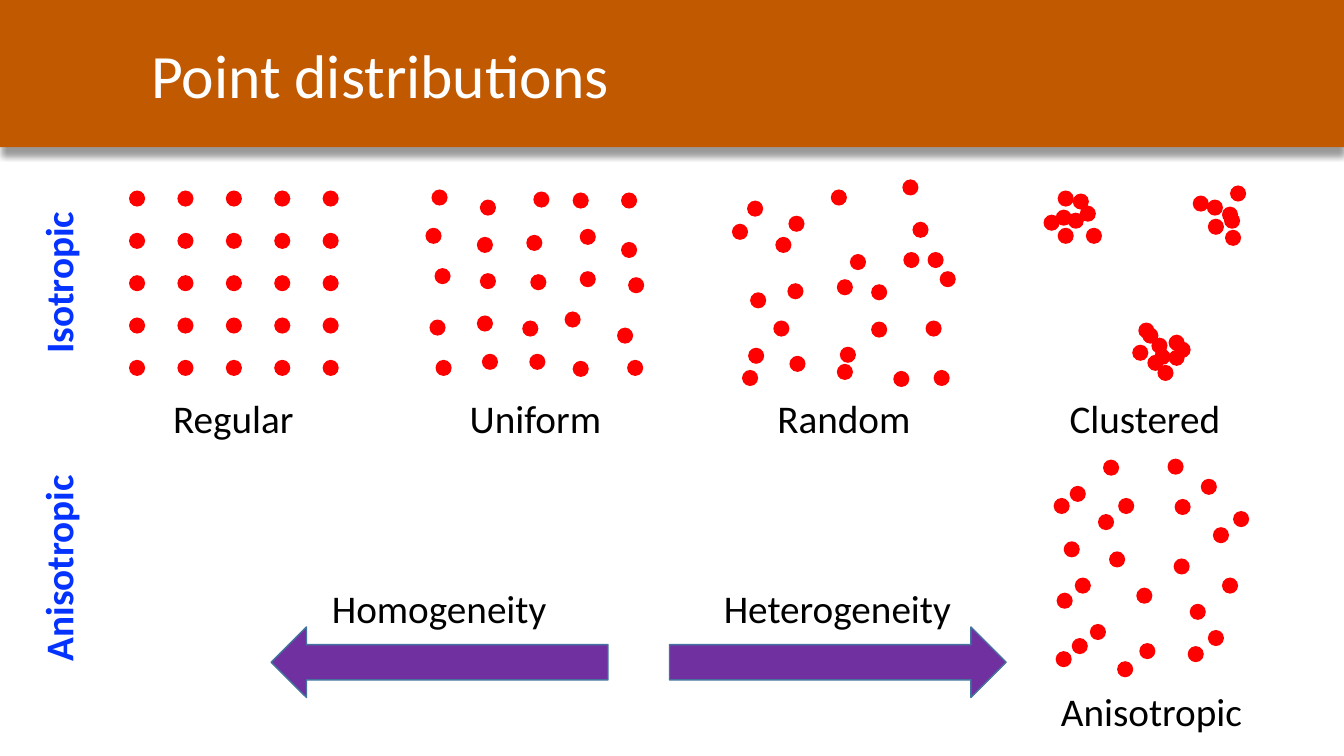
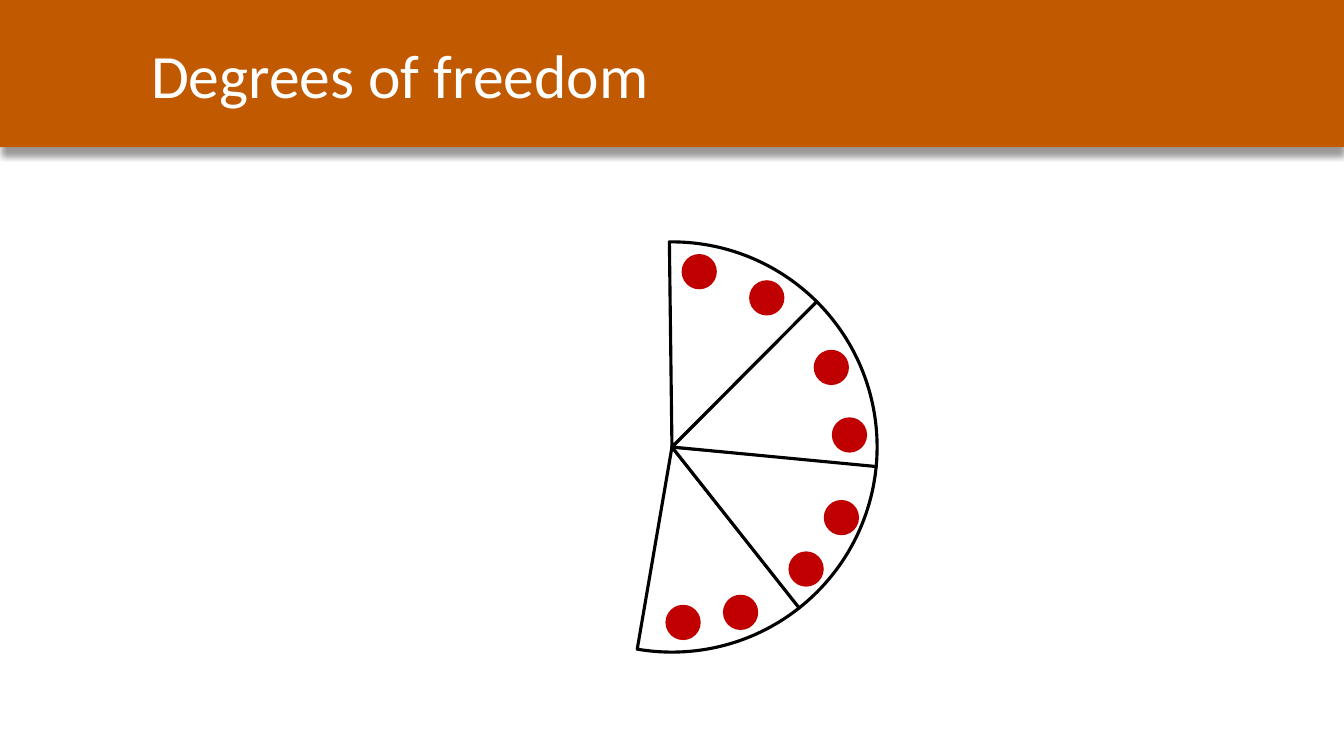
from lxml.etree import SubElement
from pptx import Presentation
from pptx.dml.color import RGBColor
from pptx.enum.shapes import MSO_SHAPE as Preset
from pptx.enum.text import MSO_ANCHOR as Anchor, MSO_AUTO_SIZE as AutoSize, PP_ALIGN as Align
from pptx.oxml.ns import qn
from pptx.util import Inches, Pt

FONT = "Calibri"
BAND, WHITE, BLACK = "C15900", "FFFFFF", "000000"
POINT_RED, DARK_RED = "FF0000", "C00000"
ROW_BLUE, ARROW_PURPLE, ARROW_EDGE = "0432FF", "7030A0", "43739E"
hex_color = RGBColor.from_string


def add_figure(shapes, preset, left, top, width, height, fill, line=None, line_width=1):
    figure = shapes.add_shape(preset, Inches(left), Inches(top), Inches(width), Inches(height))
    figure.shadow.inherit = False
    figure.fill.solid()
    figure.fill.fore_color.rgb = hex_color(fill)
    if line:
        figure.line.color.rgb = hex_color(line)
        figure.line.width = Pt(line_width)
    else:
        figure.line.fill.background()
    return figure


def add_label(shapes, text, left, top, width, height=0.57, size=28, color=BLACK, bold=False):
    """Add a centred one-line label whose box fits its text."""
    label = shapes.add_textbox(Inches(left), Inches(top), Inches(width), Inches(height))
    label.text_frame.word_wrap = False
    label.text_frame.auto_size = AutoSize.SHAPE_TO_FIT_TEXT
    paragraph = label.text_frame.paragraphs[0]
    paragraph.alignment = Align.CENTER
    run = paragraph.add_run()
    run.text = text
    run.font.name = FONT
    run.font.size = Pt(size)
    run.font.bold = bold
    run.font.color.rgb = hex_color(color)
    return label


prs = Presentation()
prs.slide_width, prs.slide_height = Inches(13.33), Inches(7.5)

# Title band on every slide
slides = []
for heading in ("Point distributions", "Degrees of freedom"):
    slide = prs.slides.add_slide(prs.slide_layouts[6])
    band = add_figure(slide.shapes, Preset.RECTANGLE, 0, 0, 13.33, 1.46, BAND)
    effects = band._element.spPr.find(qn("a:effectLst"))
    shadow = SubElement(effects, qn("a:outerShdw"), blurRad=str(Pt(4)), dist=str(Pt(6)),
                        dir="5400000", algn="t", rotWithShape="0")
    shade = SubElement(shadow, qn("a:srgbClr"), val=BLACK)
    SubElement(shade, qn("a:alpha"), val="40000")

    title = add_label(slide.shapes, heading, 1.4, 0.12, 11.93, 1.22, 44, WHITE)
    title.text_frame.auto_size = AutoSize.NONE
    title.text_frame.word_wrap = True
    title.text_frame.vertical_anchor = Anchor.MIDDLE
    title.text_frame.paragraphs[0].alignment = Align.LEFT
    slides.append(slide)
distributions, freedom = slides

# Point distributions: top-left corner of every point
POINT_SIZE = 0.16
regular = [(1.28 + 0.48 * column, 1.89 + 0.42 * row) for row in range(5) for column in range(5)]
uniform = [
    (4.28, 1.88), (4.76, 1.98), (5.29, 1.9), (5.68, 1.91), (6.16, 1.91),
    (4.22, 2.26), (4.73, 2.35), (5.22, 2.33), (5.75, 2.27), (6.16, 2.4),
    (4.31, 2.66), (4.76, 2.71), (5.26, 2.72), (5.75, 2.69), (6.23, 2.75),
    (4.26, 3.17), (4.73, 3.13), (5.18, 3.18), (5.6, 3.09), (6.12, 3.25),
    (4.32, 3.57), (4.78, 3.51), (5.25, 3.51), (5.68, 3.58), (6.22, 3.57),
]
random_points = [
    (7.41, 1.99), (7.82, 2.14), (8.24, 1.88), (8.95, 1.78), (9.05, 2.2),
    (7.26, 2.22), (7.69, 2.35), (8.43, 2.52), (8.96, 2.5), (9.2, 2.5),
    (7.44, 2.9), (7.81, 2.81), (8.3, 2.77), (8.64, 2.82), (9.32, 2.69),
    (7.42, 3.45), (7.67, 3.18), (8.33, 3.44), (8.64, 3.19), (9.18, 3.18),
    (7.36, 3.67), (7.83, 3.53), (8.3, 3.61), (8.86, 3.68), (9.26, 3.67),
]
anisotropic = [
    (10.61, 4.82), (10.94, 4.56), (11.09, 4.94), (11.65, 4.95), (11.91, 4.75),
    (10.45, 4.94), (10.89, 5.1), (11, 5.47), (11.64, 5.54), (12.23, 5.07),
    (10.55, 5.37), (10.66, 5.73), (11.58, 4.55), (12.03, 5.23), (12.12, 5.73),
    (10.48, 5.88), (10.81, 6.19), (11.27, 5.83), (11.8, 5.99), (11.98, 6.25),
    (10.47, 6.46), (10.63, 6.33), (11.3, 6.38), (11.08, 6.56), (11.78, 6.41),
]
clustered = [
    (10.49, 1.89), (10.64, 1.92), (11.83, 1.94), (12.12, 2.05), (12.14, 2.11),
    (10.35, 2.13), (10.77, 2.26), (12.2, 1.84), (11.97, 1.98), (11.98, 2.17),
    (10.49, 2.26), (10.59, 2.11), (11.33, 3.25), (11.59, 3.32), (12.15, 2.28),
    (11.29, 3.2), (11.23, 3.42), (11.42, 3.35), (11.65, 3.39), (10.71, 2.04),
    (10.47, 2.08), (11.45, 3.46), (11.38, 3.52), (11.59, 3.47), (11.48, 3.62),
]
for pattern in (regular, uniform, random_points, anisotropic, clustered):
    cloud = distributions.shapes.add_group_shape()
    for left, top in pattern:
        add_figure(cloud.shapes, Preset.OVAL, left, top, POINT_SIZE, POINT_SIZE, POINT_RED)

for trend, preset, arrow_left, label_left, label_width in (
    ("Homogeneity", Preset.LEFT_ARROW, 2.69, 3.18, 2.35),
    ("Heterogeneity", Preset.RIGHT_ARROW, 6.64, 7.07, 2.47),
):
    direction = distributions.shapes.add_group_shape()
    add_figure(direction.shapes, preset, arrow_left, 6.22, 3.34, 0.7, ARROW_PURPLE, ARROW_EDGE)
    add_label(direction.shapes, trend, label_left, 5.75, label_width)

for row_name, left, top, width in (
    ("Anisotropic", -0.46, 5.35, 2.07),
    ("Isotropic", -0.24, 2.52, 1.63),
):
    row_label = add_label(distributions.shapes, row_name, left, top, width,
                          color=ROW_BLUE, bold=True)
    row_label.rotation = 270

for pattern_name, left, top, width in (
    ("Regular", 1.61, 3.86, 1.41),
    ("Uniform", 4.55, 3.86, 1.52),
    ("Random", 7.6, 3.86, 1.54),
    ("Clustered", 10.5, 3.86, 1.71),
    ("Anisotropic", 10.41, 6.77, 2.02),
):
    add_label(distributions.shapes, pattern_name, left, top, width)

# Degrees of freedom: start and end angle of each wedge, then its two balls
BALL_SIZE = 0.35
ANGLE_UNIT = 0.6  # adjustment value per degree
for start, end, balls in (
    (51.63, 99.74, [(6.6, 6), (7.17, 5.9)]),
    (5.07, 51.69, [(7.82, 5.47), (8.17, 4.96)]),
    (314.82, 5.47, [(8.25, 4.14), (8.07, 3.47)]),
    (269.28, 314.88, [(6.76, 2.52), (7.43, 2.78)]),
):
    sector = freedom.shapes.add_group_shape()
    wedge = add_figure(sector.shapes, Preset.PIE, 4.63, 2.4, 4.07, 4.07, WHITE, BLACK, 2.25)
    wedge.adjustments[0] = start * ANGLE_UNIT
    wedge.adjustments[1] = end * ANGLE_UNIT
    for left, top in balls:
        add_figure(sector.shapes, Preset.OVAL, left, top, BALL_SIZE, BALL_SIZE, DARK_RED)

prs.save("out.pptx")
